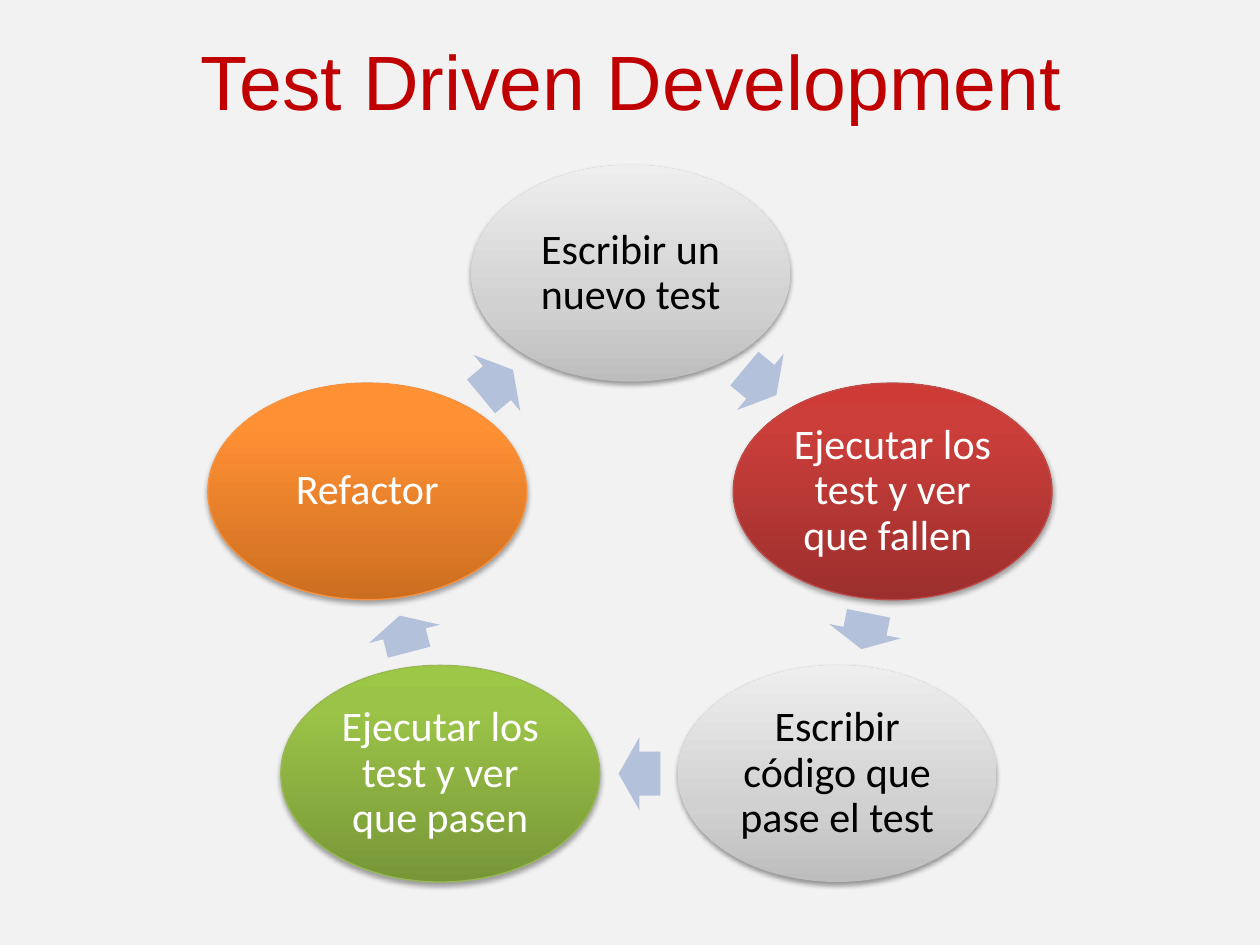
import pptx
import pptx.util
import pptx.dml.color
import pptx.enum.shapes
import pptx.enum.text
import pptx.oxml
import pptx.oxml.ns

Pt = pptx.util.Pt
SHAPE = pptx.enum.shapes.MSO_SHAPE
MIDDLE = pptx.enum.text.MSO_ANCHOR.MIDDLE
CENTER = pptx.enum.text.PP_ALIGN.CENTER

STEP_W, STEP_H = 182.2, 123.8
ARROW_H = 41.8
GREY = [(0, "BDBDBD"), (35, "D1D1D1"), (100, "EEEEEE")]
RED = [(0, "9C2F2D"), (80, "CB3E3A"), (100, "CE3B37")]
GREEN = [(0, "779737"), (80, "9BC348"), (100, "9DC746")]
ORANGE = [(0, "CC6E20"), (80, "FF9034"), (100, "FF9136")]

STEPS = [
    ("Escribir un nuevo test", 360.4, 156.2, GREY, None, "000000"),
    ("Ejecutar los test y ver que fallen ", 510.1, 280.8, RED, "BF4C48", "FFFFFF"),
    ("Escribir código que pase el test", 478.4, 442.1, GREY, None, "000000"),
    ("Ejecutar los test y ver que pasen", 251.6, 442.1, GREEN, "98B955", "FFFFFF"),
    ("Refactor", 209.9, 280.8, ORANGE, "F69240", "FFFFFF"),
]
ARROWS = [
    (434.5, 218.2, 23.8, 39.7),
    (494.3, 360.7, 20.9, 101.3),
    (365.4, 442.1, 23.8, 180),
    (231.1, 362.2, 21.6, 255.5),
    (284, 218.9, 23.8, 320.3),
]


def rgb(color):
    return pptx.dml.color.RGBColor.from_string(color)


def xml(text):
    return pptx.oxml.parse_xml(text.replace(">", " " + pptx.oxml.ns.nsdecls("a") + ">", 1))


def set_text(sp, text, font, size, color, inset):
    tf = sp.text_frame
    tf.word_wrap = True
    tf.vertical_anchor = MIDDLE
    tf.margin_left = tf.margin_right = tf.margin_top = tf.margin_bottom = Pt(inset)
    tf.text = text
    p = tf.paragraphs[0]
    p.alignment = CENTER
    r = p.runs[0]
    r.font.name = font
    r.font.size = Pt(size)
    r.font.color.rgb = rgb(color)
    return p


def add_centered(s, kind, x, y, w, h):
    sp = s.shapes.add_shape(kind, Pt(x - w / 2), Pt(y - h / 2), Pt(w), Pt(h))
    sp.shadow.inherit = False
    sp.line.fill.background()
    return sp


def set_gradient(sp, stops):
    sp.fill.gradient()
    sp.fill.gradient_angle = 90
    gs_list = sp._element.spPr.find(".//" + pptx.oxml.ns.qn("a:gsLst"))
    gs_list.clear()
    for pos, color in stops:
        gs_list.append(xml(f'<a:gs pos="{pos * 1000}"><a:srgbClr val="{color}"/></a:gs>'))


def set_shadow(sp, alpha, dist):
    effects = sp._element.spPr.find(pptx.oxml.ns.qn("a:effectLst"))
    effects.append(xml(
        f'<a:outerShdw blurRad="{Pt(3.1)}" dist="{Pt(dist)}" dir="5400000" rotWithShape="0">'
        f'<a:srgbClr val="000000"><a:alpha val="{alpha * 1000}"/></a:srgbClr></a:outerShdw>'))


def add_title(s, text):
    sp = s.shapes.add_textbox(Pt(36.7), Pt(17.3), Pt(648), Pt(56.9))
    set_text(sp, text, "Arial", 44, "C00000", 3.6)


def add_step(s, text, x, y, stops, outline, color):
    sp = add_centered(s, SHAPE.OVAL, x, y, STEP_W, STEP_H)
    set_gradient(sp, stops)
    if outline:
        sp.line.color.rgb = rgb(outline)
        sp.line.width = Pt(0.75)
        set_shadow(sp, 35, 1.8)
    else:
        set_shadow(sp, 38, 1.6)
    p = set_text(sp, text, "Calibri", 24, color, 2.16)
    p.line_spacing = 0.9


def add_arrow(s, x, y, w, angle):
    sp = add_centered(s, SHAPE.RIGHT_ARROW, x, y, w, ARROW_H)
    sp.adjustments[0] = 0.6
    sp.adjustments[1] = 0.5
    sp.rotation = angle
    sp.fill.solid()
    sp.fill.fore_color.rgb = rgb("B3C1DB")


def main():
    prs = pptx.Presentation()
    prs.slide_width, prs.slide_height = Pt(720), Pt(540)
    s = prs.slides.add_slide(prs.slide_layouts[6])
    s.background.fill.solid()
    s.background.fill.fore_color.rgb = rgb("F2F2F2")
    add_title(s, "Test Driven Development")
    for step, arrow in zip(STEPS, ARROWS):
        add_step(s, *step)
        add_arrow(s, *arrow)
    prs.save("out.pptx")


if __name__ == "__main__":
    main()
